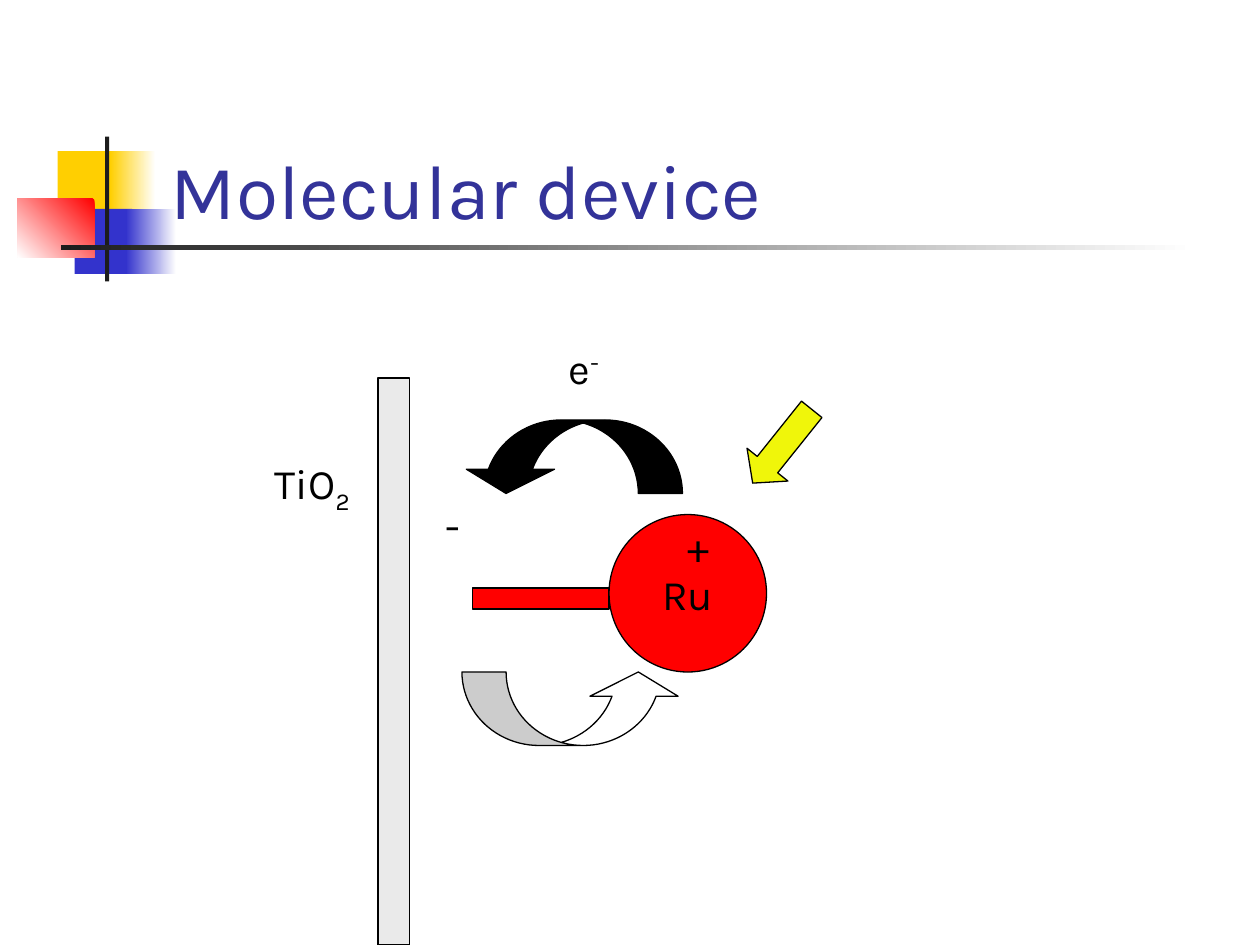
"""Build the molecular device slide on a grid of twelve cells to the inch."""
from pptx import Presentation
from pptx.dml.color import RGBColor
from pptx.enum.shapes import MSO_SHAPE as KIND
from pptx.enum.text import MSO_ANCHOR, PP_ALIGN
from pptx.util import Inches, Pt

COLS, ROWS = 120, 90
CELL = Inches(1) / 12
FONT = "Karla"
HEX = {
    "gold": "FFCF01", "blue": "3333CC", "red": "FF0000", "dark": "1C1C1C",
    "white": "FFFFFF", "black": "000000", "navy": "333399",
    "gray": "EAEAEA", "lemon": "F0F60A",
}
DECOR = [
    ((5.5, 14.4, 5.8, 6.2), ["gold"], 0),
    ((10.5, 14.4, 4.3, 6.2), ["white", "gold"], 180),
    ((7.1, 19.9, 5.5, 6.2), ["blue"], 0),
    ((12, 19.9, 4.8, 6.2), ["white", "blue"], 180),
    ((1.65, 18.95, 7.35, 5.55), ["red", "white"], 225),
    ((10, 13, 0.4, 13.8), ["dark"], 0),
    ((5.8, 23.35, 108, 0.42), ["white", "dark"], 180),
]
PARTS = [
    ("plate", KIND.RECTANGLE, (36, 36, 3, 54), "gray", []),
    ("stem", KIND.RECTANGLE, (45, 56, 13, 2), "red", []),
    ("dye", KIND.OVAL, (58, 49, 15, 15), "red", []),
    ("light", KIND.DOWN_ARROW, (72, 38, 5, 9), "lemon", [0.5, 0.45]),
    ("inject", KIND.CURVED_DOWN_ARROW, (44, 40, 21, 7), "black", [0.6, 1.2, 0.33]),
    ("return", KIND.CURVED_UP_ARROW, (44, 64, 21, 7), "white", [0.6, 1.2, 0.33]),
]
LABELS = [
    ((53, 32, 5.4, 6), [("e", 0), ("-", 30)]),
    ((25, 43, 10.1, 6.7), [("TiO", 0), ("2", -25)]),
    ((41.2, 47, 3.7, 6), [("-", 0)]),
    ((64.3, 49, 4.7, 6), [("+", 0)]),
]


def place(box):
    return [round(n * CELL) for n in box]


def tint(name):
    return RGBColor.from_string(HEX[name])


def paint(shape, tones, angle=0):
    shape.shadow.inherit = False
    if len(tones) == 1:
        shape.fill.solid()
        shape.fill.fore_color.rgb = tint(tones[0])
        return
    shape.fill.gradient()
    shape.fill.gradient_angle = angle
    for stop, tone in zip(shape.fill.gradient_stops, tones):
        stop.color.rgb = tint(tone)


def write(frame, runs, size=24, tone="black"):
    for text, base in runs:
        run = frame.paragraphs[0].add_run()
        run.text = text
        run.font.name, run.font.size = FONT, Pt(size)
        run.font.color.rgb = tint(tone)
        if base:
            run._r.get_or_add_rPr().set("baseline", str(base * 1000))


def main():
    deck = Presentation()
    deck.slide_width, deck.slide_height = place((COLS, ROWS))
    shapes = deck.slides.add_slide(deck.slide_layouts[6]).shapes

    for box, tones, angle in DECOR:
        block = shapes.add_shape(KIND.RECTANGLE, *place(box))
        paint(block, tones, angle)
        block.line.fill.background()

    title = shapes.add_textbox(*place((15.1, 8, 102.2, 15))).text_frame
    title.word_wrap = True
    title.vertical_anchor = MSO_ANCHOR.BOTTOM
    write(title, [("Molecular device", 0)], 44, "navy")

    parts = {}
    for name, kind, box, tone, turns in PARTS:
        part = parts[name] = shapes.add_shape(kind, *place(box))
        paint(part, [tone])
        part.line.color.rgb = tint("black")
        part.line.width = Pt(0.75)
        for i, turn in enumerate(turns):
            part.adjustments[i] = turn
    parts["light"].rotation = 38.7
    parts["inject"]._element.spPr.xfrm.set("flipH", "1")

    core = parts["dye"].text_frame
    core.word_wrap = False
    core.vertical_anchor = MSO_ANCHOR.MIDDLE
    core.paragraphs[0].alignment = PP_ALIGN.CENTER
    write(core, [("Ru", 0)])

    for box, runs in LABELS:
        frame = shapes.add_textbox(*place(box)).text_frame
        frame.word_wrap = False
        write(frame, runs)

    deck.save("out.pptx")


if __name__ == "__main__":
    main()
